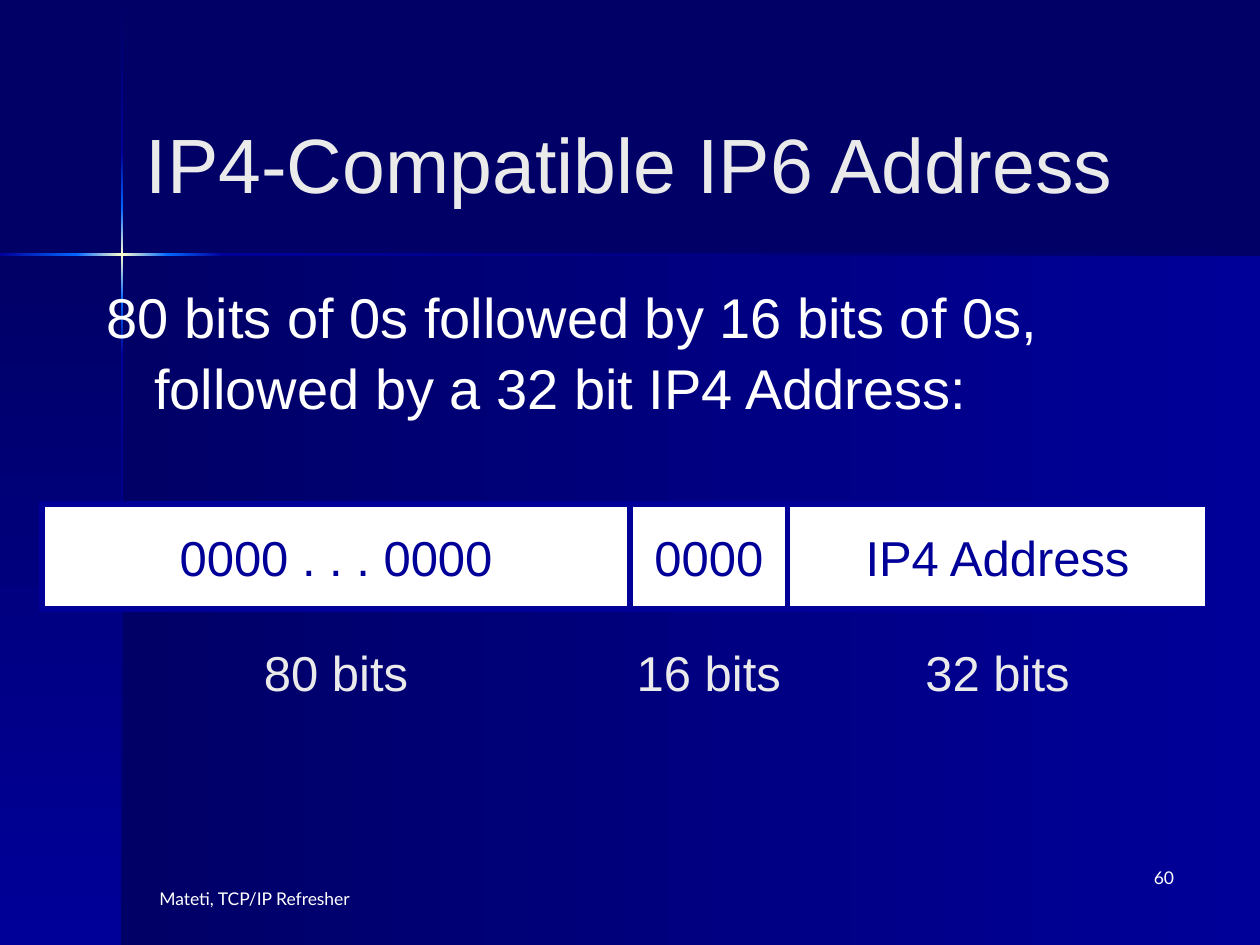
from dataclasses import dataclass
from typing import NamedTuple

from lxml.etree import SubElement
from pptx import Presentation
from pptx.dml.color import RGBColor
from pptx.enum.shapes import MSO_SHAPE
from pptx.enum.text import MSO_ANCHOR, MSO_AUTO_SIZE, PP_ALIGN
from pptx.oxml.ns import qn
from pptx.util import Pt


@dataclass(frozen=True)
class Theme:
    navy: str = "000066"
    blue: str = "000099"
    bright: str = "0066FF"
    glow: str = "FFFFCC"
    white: str = "FFFFFF"
    pale: str = "EAEAEA"
    font: str = "Arial"
    small_font: str = "Lato"
    title: float = 44
    body: float = 32
    label: float = 28
    small: float = 10
    border: float = 3


class Box(NamedTuple):
    left: float
    top: float
    width: float
    height: float


class Field(NamedTuple):
    value: str
    bits: str
    width: float


class Ray(NamedTuple):
    start: float
    end: float
    colors: tuple[str, ...]


T = Theme()
WIDTH, HEIGHT = 720, 540
CROSS_X, CROSS_Y = 69.75, 145.5
RAY = 1.5
DOWN, LEFTWARD = 90, 180

FLARE = (T.bright, T.glow, T.bright)
VERTICAL_RAYS = [
    Ray(0.5, 87, (T.navy, T.blue)),
    Ray(87, 119, (T.blue, T.bright)),
    Ray(119, 171.5, FLARE),
    Ray(171.5, 203, (T.bright, T.blue)),
    Ray(203, HEIGHT, (T.blue, T.navy)),
]
HORIZONTAL_RAYS = [
    Ray(0, 43.5, (T.bright, T.blue)),
    Ray(43.5, 96, FLARE),
    Ray(96, 127.5, (T.blue, T.bright)),
    Ray(127.5, WIDTH, (T.navy, T.blue)),
]

FIELDS = [
    Field("0000 . . . 0000", "80 bits", 336),
    Field("0000", "16 bits", 90),
    Field("IP4 Address", "32 bits", 240),
]
FIELD_LEFT, FIELD_TOP, FIELD_HEIGHT, BITS_TOP = 24, 288, 60, 354


def rgb(color: str) -> RGBColor:
    return RGBColor.from_string(color)


def to_pt(box: Box) -> list[Pt]:
    return [Pt(v) for v in box]


def write(sp, text: str, size: float, color: str, font: str = T.font,
          align=PP_ALIGN.LEFT, anchor=MSO_ANCHOR.TOP, wrap: bool = True):
    tf = sp.text_frame
    frame_format = {"auto_size": MSO_AUTO_SIZE.NONE, "word_wrap": wrap,
                    "vertical_anchor": anchor}
    for name, value in frame_format.items():
        setattr(tf, name, value)
    p = tf.paragraphs[0]
    p.alignment = align
    r = p.add_run()
    r.text = text
    for name, value in {"name": font, "size": Pt(size)}.items():
        setattr(r.font, name, value)
    r.font.color.rgb = rgb(color)
    return p


def add_text(s, box: Box, text: str, size: float, color: str, **kwargs):
    return write(s.shapes.add_textbox(*to_pt(box)), text, size, color, **kwargs)


def add_rect(s, box: Box):
    sp = s.shapes.add_shape(MSO_SHAPE.RECTANGLE, *to_pt(box))
    sp.shadow.inherit = False
    return sp


def add_gradient(s, box: Box, colors: tuple[str, ...], angle: int) -> None:
    """Draw a borderless gradient panel; angle is clockwise in degrees."""
    sp = add_rect(s, box)
    sp.line.fill.background()
    sp.fill.gradient()
    sp.fill.gradient_angle = 360 - angle
    stops = sp._element.xpath(".//a:gsLst")[0]
    for gs in list(stops):
        stops.remove(gs)
    for i, color in enumerate(colors):
        position = 100000 * i // (len(colors) - 1)
        gs = SubElement(stops, qn("a:gs"), pos=str(position))
        SubElement(gs, qn("a:srgbClr"), val=color)


def add_cell(s, box: Box):
    sp = add_rect(s, box)
    sp.fill.solid()
    sp.fill.fore_color.rgb = rgb(T.white)
    sp.line.color.rgb = rgb(T.blue)
    sp.line.width = Pt(T.border)
    return sp


def draw_backdrop(s) -> None:
    s.background.fill.solid()
    s.background.fill.fore_color.rgb = rgb(T.navy)
    depth = HEIGHT - CROSS_Y
    add_gradient(s, Box(CROSS_X, CROSS_Y, WIDTH - CROSS_X, depth),
                 (T.blue, T.navy), LEFTWARD)
    add_gradient(s, Box(0, CROSS_Y, CROSS_X, depth), (T.navy, T.blue), DOWN)
    for ray in VERTICAL_RAYS:
        add_gradient(s, Box(CROSS_X - RAY / 2, ray.start, RAY, ray.end - ray.start),
                     ray.colors, DOWN)
    for ray in HORIZONTAL_RAYS:
        add_gradient(s, Box(ray.start, CROSS_Y - RAY / 2, ray.end - ray.start, RAY),
                     ray.colors, LEFTWARD)


def draw_title(s) -> None:
    title = s.shapes.title
    s.shapes._spTree.append(title._element)  # bring in front of the backdrop
    box = to_pt(Box(54, 48, 612, 90))
    for name, value in zip(("left", "top", "width", "height"), box):
        setattr(title, name, value)
    write(title, "IP4-Compatible IP6 Address", T.title, T.pale,
          align=PP_ALIGN.CENTER, anchor=MSO_ANCHOR.MIDDLE)


def draw_address(s) -> None:
    centred = {"align": PP_ALIGN.CENTER, "anchor": MSO_ANCHOR.MIDDLE, "wrap": False}
    add_cell(s, Box(FIELD_LEFT, FIELD_TOP, sum(f.width for f in FIELDS), FIELD_HEIGHT))
    left = FIELD_LEFT
    for field in FIELDS:
        cell = add_cell(s, Box(left, FIELD_TOP, field.width, FIELD_HEIGHT))
        write(cell, field.value, T.label, T.blue, **centred)
        add_text(s, Box(left, BITS_TOP, field.width, FIELD_HEIGHT),
                 field.bits, T.label, T.pale, **centred)
        left += field.width


def draw_body(s) -> None:
    p = add_text(s, Box(54, 156, 612, 324),
                 "80 bits of 0s followed by 16 bits of 0s, "
                 "followed by a 32 bit IP4 Address:", T.body, T.white)
    p.line_spacing = 1.05
    pPr = p._p.get_or_add_pPr()
    for name, value in {"marL": Pt(27), "indent": Pt(-27)}.items():
        pPr.set(name, str(int(value)))


def draw_footer(s) -> None:
    add_text(s, Box(84, 504, 192, 36), "Mateti, TCP/IP Refresher",
             T.small, T.white, font=T.small_font)
    add_text(s, Box(528, 492, 150, 36), "60", T.small, T.white,
             font=T.small_font, align=PP_ALIGN.RIGHT)


def main() -> None:
    prs = Presentation()
    prs.slide_width, prs.slide_height = Pt(WIDTH), Pt(HEIGHT)
    s = prs.slides.add_slide(prs.slide_layouts[5])
    for draw in (draw_backdrop, draw_title, draw_address, draw_body, draw_footer):
        draw(s)
    prs.save("out.pptx")


if __name__ == "__main__":
    main()
